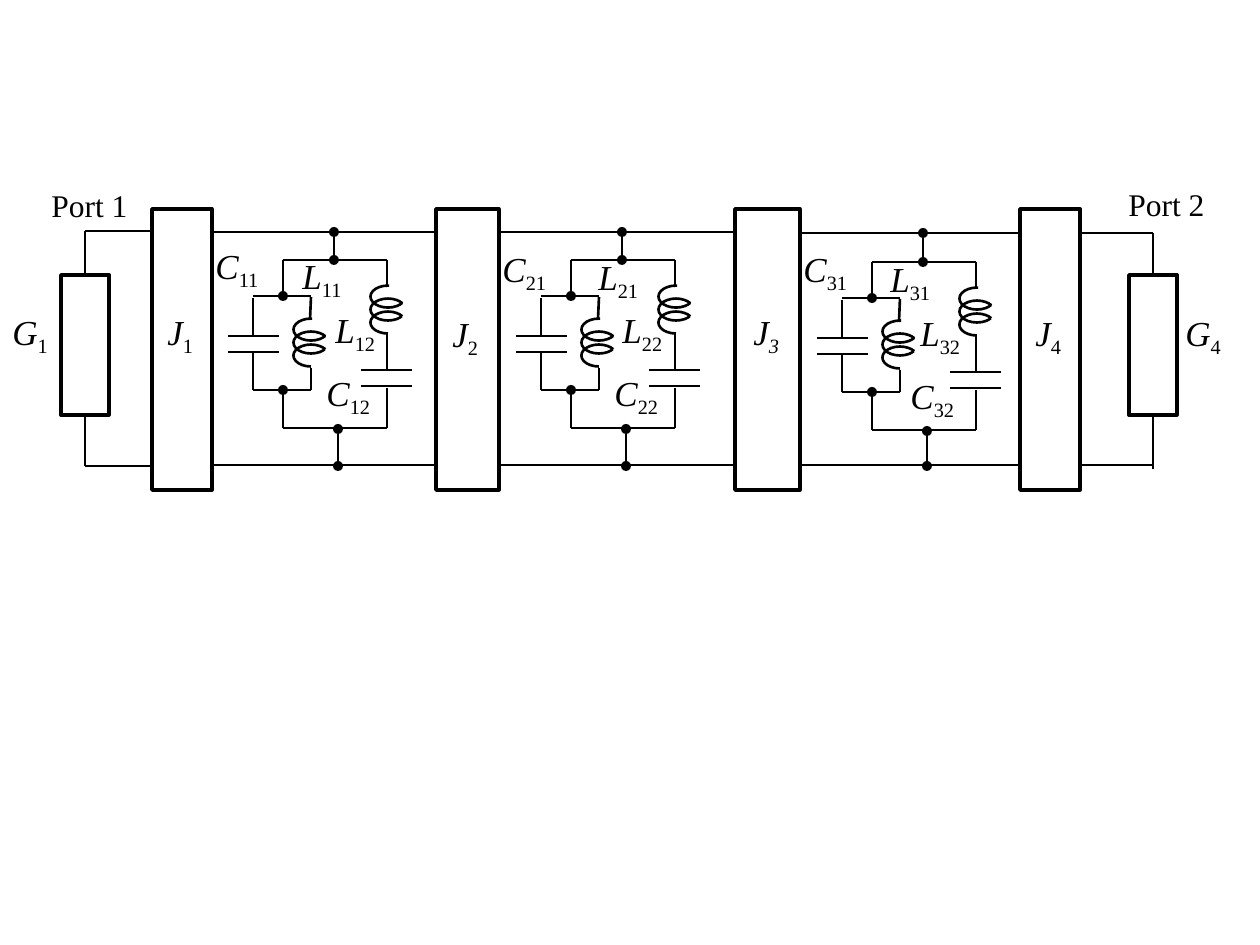
from lxml.etree import SubElement
from pptx import Presentation
from pptx.dml.color import RGBColor
from pptx.enum.shapes import MSO_CONNECTOR as Connector, MSO_SHAPE as Shape
from pptx.enum.text import MSO_AUTO_SIZE as AutoSize
from pptx.oxml.ns import qn
from pptx.util import Emu, Pt

PX = 914400 / 126
COLORS = {"ink": "000000"}
FONT = "Times New Roman"

# Blocks: left, width
INVERTERS = [(152, 60), (436, 63), (735, 65), (1020, 60)]
INVERTER_TOP, INVERTER_HEIGHT = 209, 281
CONDUCTANCES = [(61, 48), (1129, 48)]
CONDUCTANCE_TOP, CONDUCTANCE_HEIGHT = 275, 140

# Bus sections: left, right, upper y, lower y
BUSES = [(85, 152, 231, 466), (212, 436, 232, 465), (499, 735, 232, 465),
         (800, 1020, 233, 465), (1080, 1153, 233, 465)]
# Leads of the conductances: x, upper y, lower y
PORT_LEADS = [(85, 231, 466), (1153, 233, 469)]

# Resonators: shift right, shift down, upper bus y
RESONATORS = [(0, 0, 232), (288, 0, 232), (589, 2, 233)]
LOWER_BUS = 466

# Parts of the first resonator, the others are shifted
WIRES = [(283, 260, 387, 260), (283, 260, 283, 298), (253, 296, 311, 296),
         (253, 298, 253, 336), (253, 352, 253, 390), (253, 390, 311, 390),
         (311, 297, 310, 320), (311, 368, 311, 390), (283, 390, 283, 428),
         (387, 260, 387, 286), (387, 332, 387, 369), (387, 388, 387, 428),
         (283, 428, 387, 428)]
UPPER_STEM, LOWER_STEM = (334, 260), (338, 428)
CAPACITORS = [(228, 336), (361, 370)]
PLATE_LENGTH, PLATE_GAP = 51, 16
COILS = [(300, 338), (377, 305)]
COIL_STEP = 13
COIL_ARCS = [(108.02, 40.04), (69.66, 40.04), (68.32, 3.42)]
JUNCTIONS = [(334, 260), (283, 296), (283, 390), (338, 429)]
DOT = 10

# Labels: symbol, subscript, left, top
LABELS = [
    ("G", "1", 0, 304), ("J", "1", 155, 304), ("J", "2", 440, 306),
    ("J", "3", 741, 304), ("J", "4", 1023, 305), ("G", "4", 1173, 305),
    ("C", "11", 203, 238), ("L", "11", 290, 248),
    ("L", "12", 323, 302), ("C", "12", 314, 365),
    ("C", "21", 490, 241), ("L", "21", 586, 249),
    ("L", "22", 610, 302), ("C", "22", 602, 365),
    ("C", "31", 791, 241), ("L", "31", 878, 251),
    ("L", "32", 908, 305), ("C", "32", 898, 368),
]
ITALIC_SUBSCRIPTS = {("J", "3")}
PORTS = [("Port 1", 39, 180), ("Port 2", 1116, 179)]


def px(*lengths):
    return [Emu(round(length * PX)) for length in lengths]


def ink():
    return RGBColor.from_string(COLORS["ink"])


def add_line(shapes, x1, y1, x2, y2):
    line = shapes.add_connector(Connector.STRAIGHT, *px(x1, y1, x2, y2))
    line.line.color.rgb = ink()
    line.line.width = Pt(1.5)
    SubElement(line._element.spPr, qn("a:effectLst"))


def add_outline(shapes, kind, left, top, width, height, points):
    shape = shapes.add_shape(kind, *px(left, top, width, height))
    shape.shadow.inherit = False
    shape.fill.background()
    shape.line.color.rgb = ink()
    shape.line.width = Pt(points)
    return shape


def add_dot(shapes, x, y):
    dot = shapes.add_shape(Shape.OVAL, *px(x - DOT / 2, y - DOT / 2, DOT, DOT))
    dot.shadow.inherit = False
    dot.fill.solid()
    dot.fill.fore_color.rgb = ink()
    dot.line.fill.background()


def add_capacitor(shapes, left, top):
    group = shapes.add_group_shape()
    for y in (top, top + PLATE_GAP):
        add_line(group.shapes, left, y, left + PLATE_LENGTH, y)


def add_coil(shapes, left, top):
    group = shapes.add_group_shape()
    for index, angles in enumerate(COIL_ARCS):
        arc = add_outline(group.shapes, Shape.ARC, left, top - index * COIL_STEP, 22, 35, 1.5)
        arc.rotation = 270
        arc.adjustments[0], arc.adjustments[1] = angles


def add_text(shapes, left, top, width, height, size, pieces):
    """Each piece is text, italic, subscript."""
    box = shapes.add_textbox(*px(left, top, width, height))
    frame = box.text_frame
    frame.word_wrap = True
    frame.auto_size = AutoSize.SHAPE_TO_FIT_TEXT
    for text, italic, subscript in pieces:
        run = frame.paragraphs[0].add_run()
        run.text = text
        run.font.name = FONT
        run.font.size = Pt(size)
        run.font.italic = italic
        run.font.color.rgb = ink()
        if subscript:
            run._r.get_or_add_rPr().set("baseline", "-25000")


def add_resonator(shapes, dx, dy, upper_bus):
    for x1, y1, x2, y2 in WIRES:
        add_line(shapes, x1 + dx, y1 + dy, x2 + dx, y2 + dy)
    for (x, y), bus in ((UPPER_STEM, upper_bus), (LOWER_STEM, LOWER_BUS)):
        add_line(shapes, x + dx, y + dy, x + dx, bus)
        add_dot(shapes, x + dx, bus)
    for x, y in CAPACITORS:
        add_capacitor(shapes, x + dx, y + dy)
    for x, y in COILS:
        add_coil(shapes, x + dx, y + dy)
    for x, y in JUNCTIONS:
        add_dot(shapes, x + dx, y + dy)


def main():
    presentation = Presentation()
    presentation.slide_width, presentation.slide_height = px(1260, 945)
    slide = presentation.slides.add_slide(presentation.slide_layouts[6])
    shapes = slide.shapes

    # Inverters and conductances
    for left, width in INVERTERS:
        add_outline(shapes, Shape.RECTANGLE, left, INVERTER_TOP, width, INVERTER_HEIGHT, 2)
    for left, width in CONDUCTANCES:
        add_outline(shapes, Shape.RECTANGLE, left, CONDUCTANCE_TOP, width, CONDUCTANCE_HEIGHT, 2)

    # Buses and port leads
    for left, right, upper, lower in BUSES:
        for y in (upper, lower):
            add_line(shapes, left, y, right, y)
    for x, upper, lower in PORT_LEADS:
        add_line(shapes, x, upper, x, CONDUCTANCE_TOP)
        add_line(shapes, x, CONDUCTANCE_TOP + CONDUCTANCE_HEIGHT, x, lower)

    # Resonators
    for resonator in RESONATORS:
        add_resonator(shapes, *resonator)

    # Labels
    for symbol, index, left, top in LABELS:
        width = 77 if len(index) == 1 else 89
        italic = (symbol, index) in ITALIC_SUBSCRIPTS
        pieces = [(symbol, True, False), (index, italic, True)]
        add_text(shapes, left, top, width, 62, 20, pieces)
    for text, left, top in PORTS:
        add_text(shapes, left, top, 123, 50, 18, [(text, False, False)])

    presentation.save("out.pptx")


if __name__ == "__main__":
    main()
